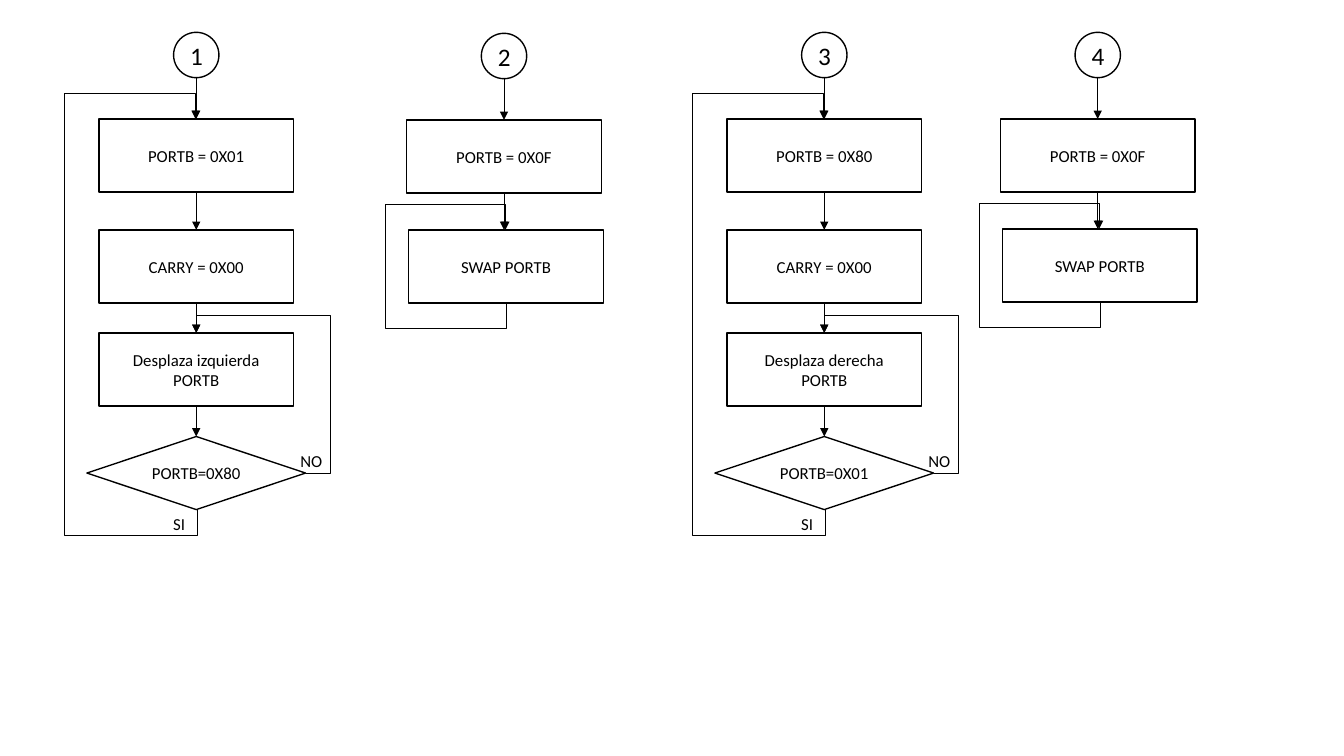
"""Four PORTB flowcharts, side by side on one slide."""
from lxml import etree
from pptx import Presentation
from pptx.dml.color import RGBColor
from pptx.enum.shapes import MSO_CONNECTOR, MSO_SHAPE
from pptx.enum.text import MSO_ANCHOR, MSO_AUTO_SIZE, PP_ALIGN
from pptx.oxml.ns import qn
from pptx.util import Pt

CIRCLE = MSO_SHAPE.FLOWCHART_CONNECTOR
BOX = MSO_SHAPE.RECTANGLE
DECISION = MSO_SHAPE.FLOWCHART_DECISION
STRAIGHT, ELBOW = MSO_CONNECTOR.STRAIGHT, MSO_CONNECTOR.ELBOW
CENTER, MIDDLE = PP_ALIGN.CENTER, MSO_ANCHOR.MIDDLE
GROW = MSO_AUTO_SIZE.SHAPE_TO_FIT_TEXT
TOP, BOTTOM = 0, 2

COLORS = {"ink": "000000", "paper": "FFFFFF"}
INK = RGBColor.from_string(COLORS["ink"])
PAPER = RGBColor.from_string(COLORS["paper"])
FONT = "Calibri"
CIRCLE_D, CIRCLE_Y = 32.4, 23.1
BOX_W, BOX_H = 139, 52.2
DECISION_W = 156.2
START_Y, SECOND_Y, SHIFT_Y, TEST_Y = 85, 164.2, 237.8, 311.8
LOOP_GAP = 18

prs = Presentation()
prs.slide_width, prs.slide_height = Pt(960), Pt(540)
s = prs.slides.add_slide(prs.slide_layouts[6])


def add_text(sp, lines, size, align=None):
    tf = sp.text_frame
    tf.word_wrap = True
    for i, line in enumerate(lines):
        p = tf.paragraphs[0] if i == 0 else tf.add_paragraph()
        p.alignment = align
        r = p.add_run()
        r.text = line
        r.font.size, r.font.name = Pt(size), FONT
        r.font.color.rgb = INK
    return tf


def add_arrow(kind, x1, y1, x2, y2, preset="line", adjust=(), turn=0):
    c = s.shapes.add_connector(kind, Pt(x1), Pt(y1), Pt(x2), Pt(y2))
    c.line.color.rgb, c.line.width = INK, Pt(0.5)
    etree.SubElement(c.line._get_or_add_ln(), qn("a:tailEnd"), type="triangle")
    sp_pr = c._element.spPr
    etree.SubElement(sp_pr, qn("a:effectLst"))
    if turn:
        sp_pr.find(qn("a:xfrm")).set("rot", str(turn * 60000))
    geom = sp_pr.find(qn("a:prstGeom"))
    geom.set("prst", preset)
    guides = geom.find(qn("a:avLst"))
    for i, value in enumerate(adjust, 1):
        etree.SubElement(guides, qn("a:gd"), name=f"adj{i}",
                         fmla=f"val {round(value * 100000)}")
    return c


charts = [
    (140.2, 0, "1", [(BOX, 0, START_Y, ["PORTB = 0X01"]),
                     (BOX, 0, SECOND_Y, ["CARRY = 0X00"]),
                     (BOX, 0, SHIFT_Y, ["Desplaza izquierda PORTB"]),
                     (DECISION, 0, TEST_Y, ["PORTB=0X80"])]),
    (588.8, 0, "3", [(BOX, 0, START_Y, ["PORTB = 0X80"]),
                     (BOX, 0, SECOND_Y, ["CARRY = 0X00"]),
                     (BOX, 0, SHIFT_Y, ["Desplaza derecha", "PORTB"]),
                     (DECISION, 0, TEST_Y, ["PORTB=0X01"])]),
    (360, 0.7, "2", [(BOX, 0, START_Y, ["PORTB = 0X0F"]),
                     (BOX, 1.5, SECOND_Y - 0.7, ["SWAP PORTB"])]),
    (784.1, 0, "4", [(BOX, 0, START_Y, ["PORTB = 0X0F"]),
                     (BOX, 1.5, SECOND_Y - 0.7, ["SWAP PORTB"])]),
]

for cx, dy, number, steps in charts:
    nodes = []
    for shape, dx, y, lines in [(CIRCLE, 0, CIRCLE_Y, [number])] + steps:
        w, h, size = {CIRCLE: (CIRCLE_D, CIRCLE_D, 18), BOX: (BOX_W, BOX_H, 12),
                      DECISION: (DECISION_W, BOX_H, 12)}[shape]
        sp = s.shapes.add_shape(shape, Pt(cx + dx - w / 2), Pt(y + dy), Pt(w), Pt(h))
        sp.shadow.inherit = False
        sp.fill.solid()
        sp.fill.fore_color.rgb = PAPER
        sp.line.color.rgb, sp.line.width = INK, Pt(1)
        add_text(sp, lines, size, CENTER).vertical_anchor = MIDDLE
        nodes.append((sp, shape, dx, y + dy, y + dy + h))

    for (upper, kind, _, _, y1), (lower, _, dx, y2, _) in zip(nodes, nodes[1:]):
        c = add_arrow(STRAIGHT, cx, y1, cx, y2)
        if kind == BOX:
            c.begin_connect(upper, BOTTOM)
        if dx == 0:
            c.end_connect(lower, TOP)

    has_test = len(steps) == 4
    loop_top = nodes[1 if has_test else 2][3]
    loop_bottom = nodes[-1][4]
    loop_x = cx + nodes[-1][2]
    depth = 95.5 if has_test else 87.2
    length = loop_bottom - loop_top
    middle = (loop_top + loop_bottom) / 2
    gap = LOOP_GAP / length
    add_arrow(ELBOW, loop_x + length / 2, middle - 0.5, loop_x - length / 2, middle + 0.5,
              "bentConnector5", (-gap, depth, 1 + gap), 90)

    if has_test:
        right = DECISION_W / 2
        add_arrow(ELBOW, cx + right, TEST_Y + BOX_H / 2, cx, SHIFT_Y,
                  "bentConnector4", (-LOOP_GAP / right, 1.123))
        for label, dx, y in [("SI", -23.6, 363.6), ("NO", 67.2, 318.2)]:
            tb = s.shapes.add_textbox(Pt(cx + dx), Pt(y), Pt(34), Pt(21.8))
            add_text(tb, [label], 12).auto_size = GROW

prs.save("out.pptx")
